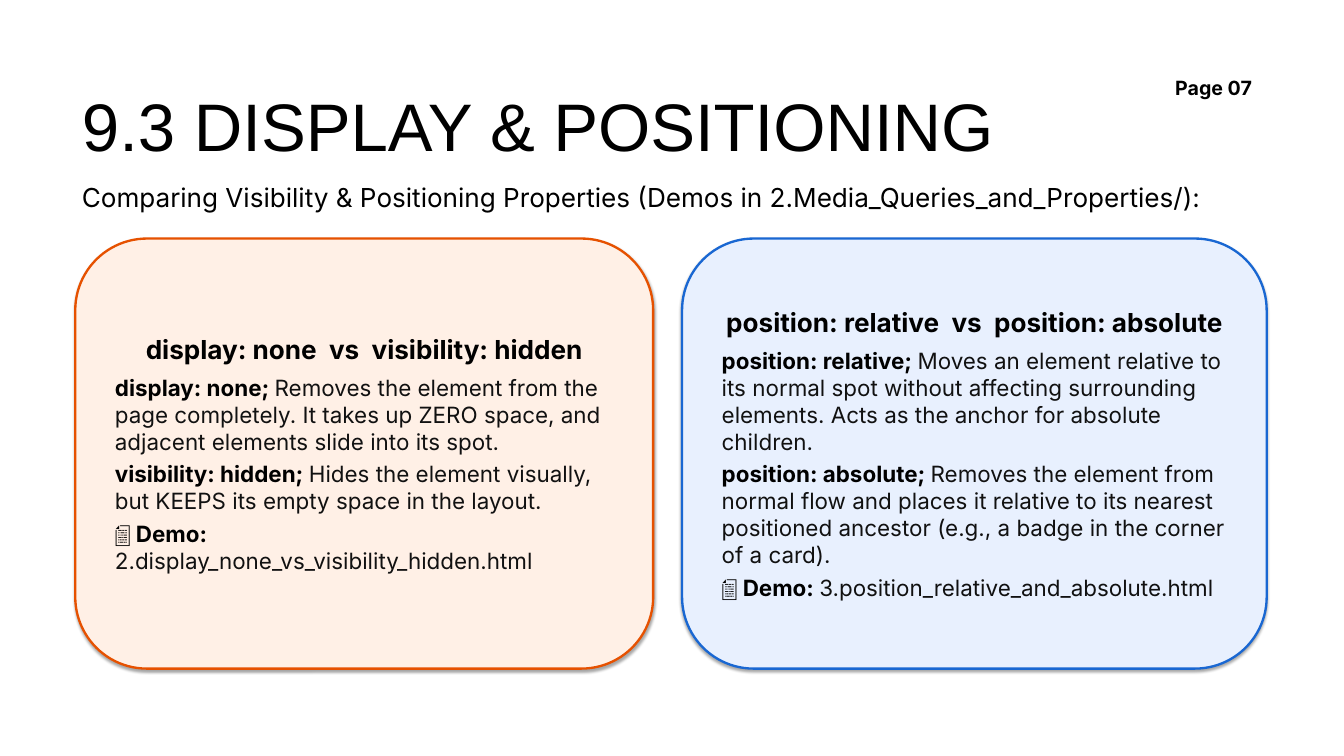
import pptx
import pptx.util
import pptx.dml.color
import pptx.enum.shapes
import pptx.enum.text

Pt = pptx.util.Pt
ALIGN = pptx.enum.text.PP_ALIGN
ANCHOR = pptx.enum.text.MSO_ANCHOR
FIT = pptx.enum.text.MSO_AUTO_SIZE


def color(code):
    return pptx.dml.color.RGBColor.from_string(code)


def style(font, size, name="Inter", bold=False):
    font.size = Pt(size)
    font.name = name
    font.bold = bold
    font.color.rgb = color("000000")


deck = pptx.Presentation()
deck.slide_width, deck.slide_height = Pt(1440), Pt(810)
slide = deck.slides.add_slide(deck.slide_layouts[5])
left = 80.64

# Title
title = slide.shapes.title
title.left, title.top = Pt(left), Pt(82.8)
title.width, title.height = Pt(1152), Pt(97.2)
frame = title.text_frame
frame.text = "9.3 DISPLAY & POSITIONING"
frame.auto_size = FIT.NONE
frame.vertical_anchor = ANCHOR.BOTTOM
frame.paragraphs[0].alignment = ALIGN.LEFT
style(frame.paragraphs[0].font, 72, "Arial")

# Page number and subtitle
notes = [
    ("Page 07", 1252.08, 77.76, 111.6, 32.4, 21, True, False),
    ("Comparing Visibility & Positioning Properties "
     "(Demos in 2.Media_Queries_and_Properties/):",
     left, 190.8, 1278, 57.6, 28, False, True),
]
for text, x, y, wide, high, size, bold, wrap in notes:
    box = slide.shapes.add_textbox(Pt(x), Pt(y), Pt(wide), Pt(high))
    frame = box.text_frame
    frame.word_wrap = wrap
    frame.text = text
    style(frame.paragraphs[0].font, size, bold=bold)

# Comparison cards, with the soft shadow of the theme
cards = [
    (left, 619.2, "FFF0E6", "E65100", "display: none  vs  visibility: hidden", [
        ("display: none; ",
         "Removes the element from the page completely. It takes up ZERO "
         "space, and adjacent elements slide into its spot."),
        ("visibility: hidden; ",
         "Hides the element visually, but KEEPS its empty space in the "
         "layout."),
        ("📄 Demo: ", "2.display_none_vs_visibility_hidden.html"),
    ]),
    (730.8, 626.4, "E8F0FE", "1967D2",
     "position: relative  vs  position: absolute", [
        ("position: relative; ",
         "Moves an element relative to its normal spot without affecting "
         "surrounding elements. Acts as the anchor for absolute children."),
        ("position: absolute; ",
         "Removes the element from normal flow and places it relative to its "
         "nearest positioned ancestor (e.g., a badge in the corner of a "
         "card)."),
        ("📄 Demo: ", "3.position_relative_and_absolute.html"),
    ]),
]
for x, wide, fill, line, head, items in cards:
    card = slide.shapes.add_shape(
        pptx.enum.shapes.MSO_SHAPE.ROUNDED_RECTANGLE,
        Pt(x), Pt(255.6), Pt(wide), Pt(460.8))
    card.fill.solid()
    card.fill.fore_color.rgb = color(fill)
    card.line.color.rgb = color(line)
    card.line.width = Pt(2.5)

    frame = card.text_frame
    frame.word_wrap = True
    frame.vertical_anchor = ANCHOR.MIDDLE
    frame.margin_left = frame.margin_right = Pt(20)
    frame.margin_top = frame.margin_bottom = Pt(16)

    # Heading
    para = frame.paragraphs[0]
    para.text = head
    para.alignment = ALIGN.CENTER
    para.space_after = Pt(10)
    style(para.font, 28, bold=True)

    # Bold term followed by its meaning
    for term, text in items:
        para = frame.add_paragraph()
        para.alignment = ALIGN.LEFT
        para.space_after = Pt(6)
        style(para.font, 24)
        run = para.add_run()
        run.text = term
        run.font.bold = True
        run = para.add_run()
        run.text = text
        run.font.color.rgb = color("111111")

deck.save("out.pptx")
